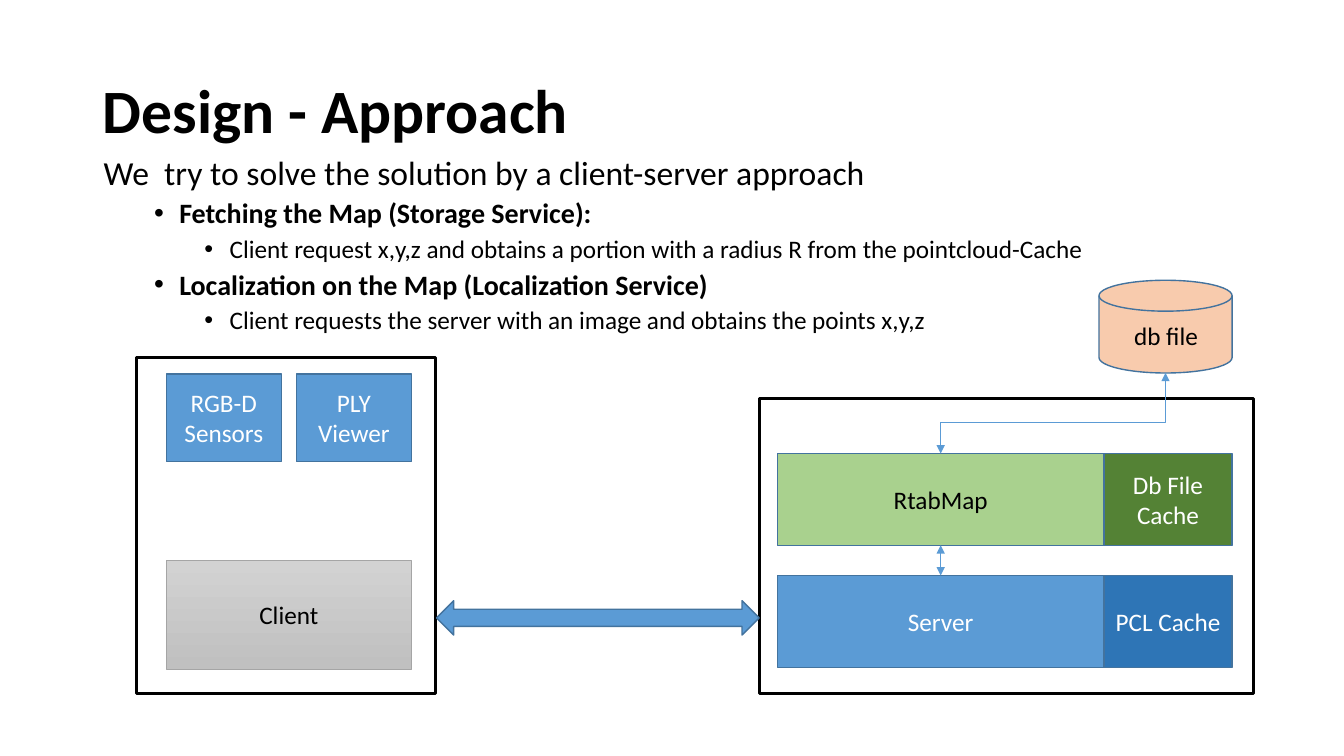
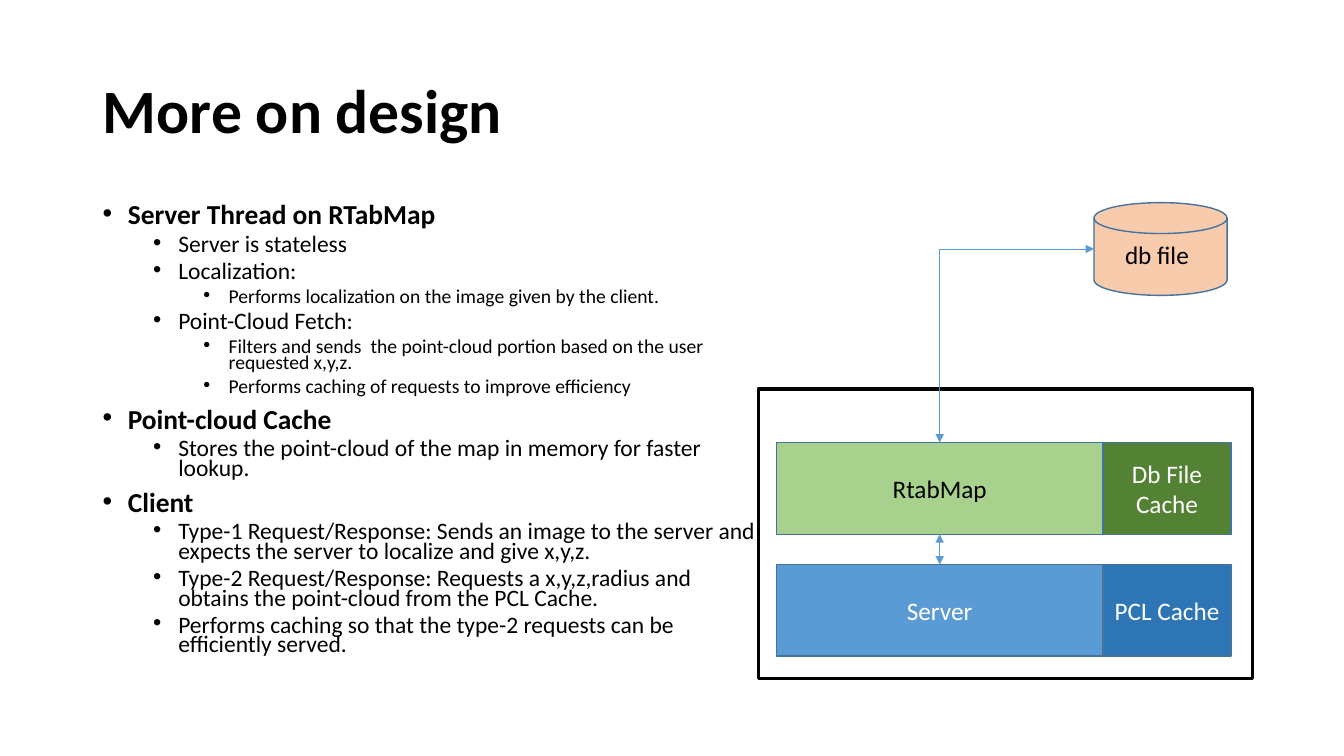
from dataclasses import dataclass

from lxml.etree import SubElement
from pptx import Presentation
from pptx.dml.color import RGBColor
from pptx.enum.shapes import MSO_CONNECTOR, MSO_SHAPE
from pptx.enum.text import MSO_ANCHOR, PP_ALIGN
from pptx.oxml.ns import qn
from pptx.shapes.autoshape import Shape
from pptx.shapes.connector import Connector
from pptx.slide import Slide
from pptx.util import Inches, Pt

FONT = "Calibri"
BLACK = RGBColor(0x00, 0x00, 0x00)
WHITE = RGBColor(0xFF, 0xFF, 0xFF)
BLUE = RGBColor(0x5B, 0x9B, 0xD5)
DARK_BLUE = RGBColor(0x2E, 0x75, 0xB6)
OUTLINE_BLUE = RGBColor(0x43, 0x73, 0x9E)
LIGHT_GREEN = RGBColor(0xA9, 0xD1, 0x8E)
DARK_GREEN = RGBColor(0x54, 0x82, 0x35)
PEACH = RGBColor(0xF8, 0xCB, 0xAD)
GREY = RGBColor(0xA5, 0xA5, 0xA5)
CLIENT_TOP_GREY = RGBColor(0xD2, 0xD2, 0xD2)
CLIENT_BOTTOM_GREY = RGBColor(0xC0, 0xC0, 0xC0)

MODULE_WIDTH, CACHE_WIDTH = 3.24, 1.27
ROW_HEIGHT, ROW_GAP = 0.91, 0.3
DRUM_WIDTH, DRUM_HEIGHT = 1.32, 0.92


@dataclass(frozen=True)
class Box:
    left: float
    top: float
    width: float
    height: float


@dataclass(frozen=True)
class Point:
    x: float
    y: float


@dataclass(frozen=True)
class Item:
    text: str
    level: int
    bold: bool = False
    bullet: bool = True


@dataclass(frozen=True)
class ListStyle:
    sizes: tuple[float, ...]
    line_spacing: float
    base_indent: float = 0.25


APPROACH_STYLE = ListStyle((24, 20, 18), 0.9)
APPROACH = [
    Item("We  try to solve the solution by a client-server approach", 0, bullet=False),
    Item("Fetching the Map (Storage Service):", 1, bold=True),
    Item("Client request x,y,z and obtains a portion with a radius R from the pointcloud-Cache", 2),
    Item("Localization on the Map (Localization Service)", 1, bold=True),
    Item("Client requests the server with an image and obtains the points x,y,z", 2),
]

DETAIL_STYLE = ListStyle((19.6, 16.8, 14), 0.7)
DETAILS = [
    Item("Server Thread on RTabMap", 0, bold=True),
    Item("Server is stateless", 1),
    Item("Localization:", 1),
    Item("Performs localization on the image given by the client.", 2),
    Item("Point-Cloud Fetch:", 1),
    Item("Filters and sends  the point-cloud portion based on the user requested x,y,z.", 2),
    Item("Performs caching of requests to improve efficiency", 2),
    Item("Point-cloud Cache", 0, bold=True),
    Item("Stores the point-cloud of the map in memory for faster lookup.", 1),
    Item("Client", 0, bold=True),
    Item("Type-1 Request/Response: Sends an image to the server and expects the server "
         "to localize and give x,y,z.", 1),
    Item("Type-2 Request/Response: Requests a x,y,z,radius and obtains the point-cloud "
         "from the PCL Cache.", 1),
    Item("Performs caching so that the type-2 requests can be efficiently served.", 1),
]


def set_font(paragraph, size: float, color: RGBColor = BLACK, bold: bool = False) -> None:
    font = paragraph.font
    font.name, font.size, font.bold = FONT, Pt(size), bold
    font.color.rgb = color


def lengths(box: Box) -> list[Inches]:
    return [Inches(value) for value in (box.left, box.top, box.width, box.height)]


def add_titled_slide(presentation, heading: str) -> Slide:
    slide = presentation.slides.add_slide(presentation.slide_layouts[5])
    title = slide.shapes.title
    title.left, title.top, title.width, title.height = lengths(Box(0.92, 0.4, 11.5, 1.45))
    title.text_frame.text = heading
    title.text_frame.vertical_anchor = MSO_ANCHOR.MIDDLE
    paragraph = title.text_frame.paragraphs[0]
    paragraph.alignment = PP_ALIGN.LEFT
    paragraph.line_spacing = 0.9
    set_font(paragraph, 44, bold=True)
    return slide


def add_list(slide: Slide, box: Box, items: list[Item], style: ListStyle) -> None:
    frame = slide.shapes.add_textbox(*lengths(box)).text_frame
    frame.word_wrap = True
    for index, item in enumerate(items):
        paragraph = frame.add_paragraph() if index else frame.paragraphs[0]
        paragraph.text = item.text
        paragraph.level = item.level
        paragraph.line_spacing = style.line_spacing
        paragraph.space_before = Pt(5 if item.level else 10)
        set_font(paragraph, style.sizes[item.level], bold=item.bold)
        if item.bullet:
            properties = paragraph._p.get_or_add_pPr()
            properties.set("marL", str(Inches(style.base_indent + 0.5 * item.level)))
            properties.set("indent", str(-Inches(style.base_indent)))
            bullet_font = properties.makeelement(qn("a:buFont"), {"typeface": "Arial"})
            bullet = properties.makeelement(qn("a:buChar"), {"char": "•"})
            properties.find(qn("a:defRPr")).addprevious(bullet_font)
            bullet_font.addnext(bullet)


def add_block(slide: Slide, box: Box, fill: RGBColor | None, text: str = "",
              color: RGBColor = WHITE, kind: MSO_SHAPE = MSO_SHAPE.RECTANGLE) -> Shape:
    """Draw an outlined shape; without a fill it becomes a heavy black frame."""
    block = slide.shapes.add_shape(kind, *lengths(box))
    block.shadow.inherit = False
    if fill is None:
        block.fill.background()
    else:
        block.fill.solid()
        block.fill.fore_color.rgb = fill
    block.line.color.rgb = BLACK if fill is None else OUTLINE_BLUE
    block.line.width = Pt(2.25 if fill is None else 1)
    if text:
        frame = block.text_frame
        frame.text = text
        frame.word_wrap = True
        frame.vertical_anchor = MSO_ANCHOR.MIDDLE
        frame.paragraphs[0].alignment = PP_ALIGN.CENTER
        set_font(frame.paragraphs[0], 18, color)
    return block


def style_link(link: Connector) -> None:
    link.line.color.rgb = BLUE
    link.line.width = Pt(0.5)
    line = link.line._get_or_add_ln()
    for end in ("a:headEnd", "a:tailEnd"):
        SubElement(line, qn(end), type="triangle")
    SubElement(link._element.spPr, qn("a:effectLst"))


def add_straight_link(slide: Slide, start: Point, end: Point) -> None:
    style_link(slide.shapes.add_connector(
        MSO_CONNECTOR.STRAIGHT,
        Inches(start.x), Inches(start.y), Inches(end.x), Inches(end.y)))


def add_rising_link(slide: Slide, start: Point, end: Point, bend: float | None = None) -> None:
    """Link up and to the right; bend is the share of the rise before turning.

    Without a bend the link turns once, at the height of its end.
    """
    rise, run = start.y - end.y, end.x - start.x
    left = (start.x + end.x - rise) / 2
    top = (start.y + end.y - run) / 2
    link = slide.shapes.add_connector(
        MSO_CONNECTOR.ELBOW,
        Inches(left), Inches(top), Inches(left + rise), Inches(top + run))
    properties = link._element.spPr
    transform = properties.find(qn("a:xfrm"))
    for key, value in (("rot", "5400000"), ("flipH", "1"), ("flipV", "1")):
        transform.set(key, value)
    geometry = properties.find(qn("a:prstGeom"))
    if bend is None:
        geometry.set("prst", "bentConnector2")
    else:
        SubElement(geometry.find(qn("a:avLst")), qn("a:gd"),
                   name="adj1", fmla=f"val {round(bend * 100000)}")
    style_link(link)


def add_server(slide: Slide, left: float, top: float, frame: Box) -> Point:
    """Draw the server stack and return the top centre of RtabMap."""
    server_top = top + ROW_HEIGHT + ROW_GAP
    cache_left = left + MODULE_WIDTH
    for text, x, y, width, fill, color in (
        ("Server", left, server_top, MODULE_WIDTH, BLUE, WHITE),
        ("RtabMap", left, top, MODULE_WIDTH, LIGHT_GREEN, BLACK),
        ("Db File Cache", cache_left, top, CACHE_WIDTH, DARK_GREEN, WHITE),
        ("PCL Cache", cache_left, server_top, CACHE_WIDTH, DARK_BLUE, WHITE),
    ):
        add_block(slide, Box(x, y, width, ROW_HEIGHT), fill, text, color)
    add_block(slide, frame, None)
    center = left + MODULE_WIDTH / 2
    add_straight_link(slide, Point(center, server_top), Point(center, top + ROW_HEIGHT))
    return Point(center, top)


def add_database(slide: Slide, left: float, top: float, label_box: Box) -> None:
    # The drum lies on its side, so its box is given before the quarter turn.
    shift = (DRUM_WIDTH - DRUM_HEIGHT) / 2
    drum = add_block(slide, Box(left + shift, top - shift, DRUM_HEIGHT, DRUM_WIDTH),
                     PEACH, kind=MSO_SHAPE.FLOWCHART_DIRECT_ACCESS_STORAGE)
    drum.rotation = 270
    label = slide.shapes.add_textbox(*lengths(label_box)).text_frame
    label.word_wrap = True
    label.text = "db file"
    set_font(label.paragraphs[0], 18)


def add_client(slide: Slide) -> None:
    left, width, tool_width = 1.65, 2.43, 1.14
    client = add_block(slide, Box(left, 5.56, width, 1.08), GREY, "Client", BLACK)
    client.line.color.rgb = GREY
    client.line.width = Pt(0.5)
    client.fill.gradient()
    client.fill.gradient_angle = 270
    for stop, color in zip(client.fill.gradient_stops, (CLIENT_TOP_GREY, CLIENT_BOTTOM_GREY)):
        stop.color.rgb = color
    for text, x in (("RGB-D Sensors", left), ("PLY Viewer", left + width - tool_width)):
        add_block(slide, Box(x, 3.71, tool_width, 0.87), BLUE, text)
    add_block(slide, Box(1.35, 3.55, 2.97, 3.33), None)


def build_approach(presentation) -> None:
    slide = add_titled_slide(presentation, "Design - Approach")
    add_list(slide, Box(0.93, 1.5, 10.16, 2.06), APPROACH, APPROACH_STYLE)
    add_client(slide)
    rtabmap = add_server(slide, 7.71, 4.5, Box(7.53, 3.95, 4.9, 2.93))
    add_database(slide, 10.9, 2.78, Box(11.15, 3.13, 1.07, 0.4))
    add_rising_link(slide, rtabmap, Point(11.56, 3.7), bend=0.39)
    add_block(slide, Box(4.33, 5.96, 3.2, 0.34), BLUE, kind=MSO_SHAPE.LEFT_RIGHT_ARROW)


def build_details(presentation) -> None:
    slide = add_titled_slide(presentation, "More on design")
    add_list(slide, Box(0.92, 2, 6.73, 4.76), DETAILS, DETAIL_STYLE)
    rtabmap = add_server(slide, 7.7, 4.39, Box(7.52, 3.86, 4.9, 2.87))
    add_database(slide, 10.85, 2.01, Box(11.06, 2.33, 1.41, 0.4))
    add_rising_link(slide, rtabmap, Point(10.85, 2.47))


def main() -> None:
    presentation = Presentation()
    presentation.slide_width = Inches(13.33)
    presentation.slide_height = Inches(7.5)
    build_approach(presentation)
    build_details(presentation)
    presentation.save("out.pptx")


if __name__ == "__main__":
    main()
